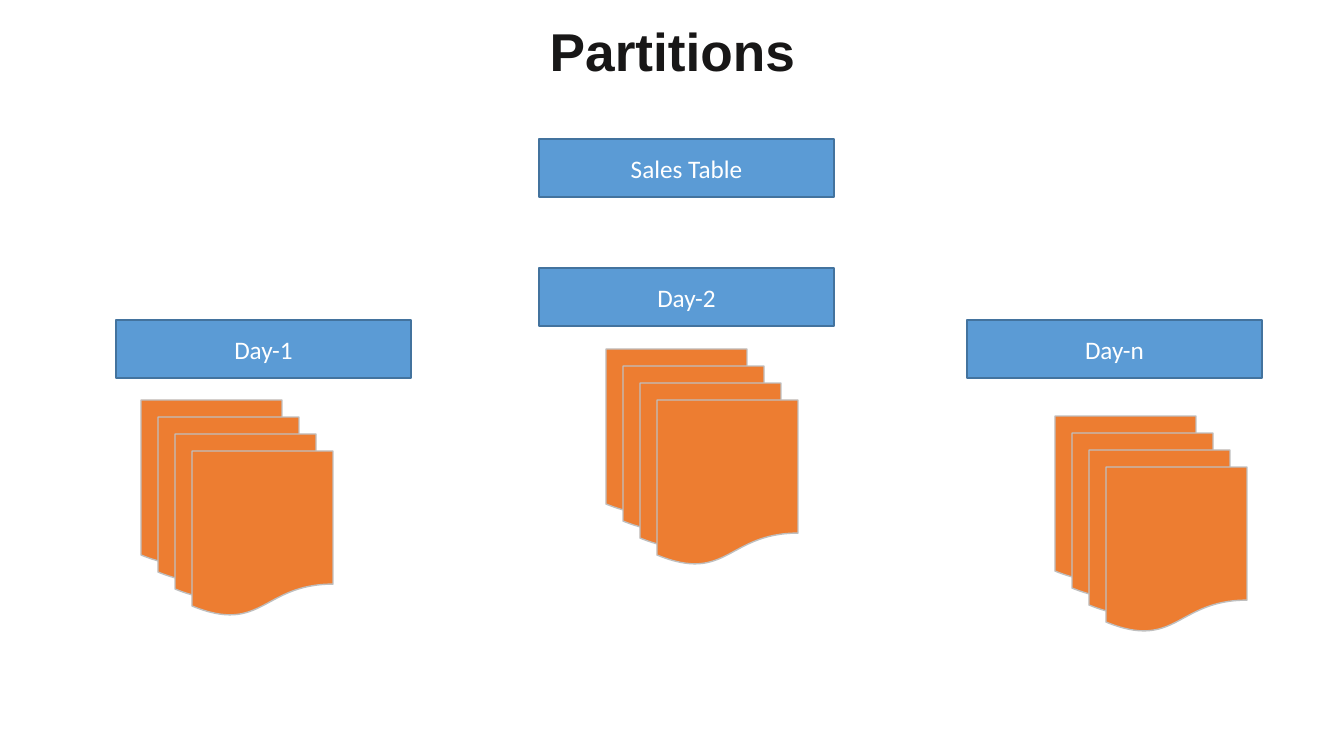
import pptx
import pptx.util
from dataclasses import dataclass
from pptx.dml.color import RGBColor
from pptx.enum.shapes import MSO_SHAPE
from pptx.enum.text import MSO_ANCHOR, MSO_AUTO_SIZE, PP_ALIGN

EMU_PER_PX = 914400 / 100.8


@dataclass(frozen=True)
class Theme:
    ink: str = "181717"
    box: str = "5B9BD5"
    box_line: str = "43739E"
    box_text: str = "FFFFFF"
    page: str = "ED7D31"
    page_line: str = "BFBFBF"
    title_font: str = "Arial"
    body_font: str = "Calibri"
    title_size: int = 38
    body_size: int = 18
    line_width: int = 1


def px(n):
    return pptx.util.Emu(round(n * EMU_PER_PX))


def write(tf, text, *, font, size, color, bold=False, anchor=MSO_ANCHOR.MIDDLE, spacing=None):
    """Fill a text frame with one centred, formatted paragraph."""
    tf.word_wrap = True
    tf.auto_size = MSO_AUTO_SIZE.NONE
    tf.vertical_anchor = anchor
    p = tf.paragraphs[0]
    p.alignment = PP_ALIGN.CENTER
    p.line_spacing = spacing
    r = p.add_run()
    r.text = text
    r.font.name = font
    r.font.size = pptx.util.Pt(size)
    r.font.bold = bold
    r.font.color.rgb = RGBColor.from_string(color)


class Canvas:
    def __init__(self, slide, theme):
        self.slide = slide
        self.theme = theme

    def title(self, text, x, y, w, h):
        t = self.theme
        sp = self.slide.shapes.title
        sp.left, sp.top, sp.width, sp.height = px(x), px(y), px(w), px(h)
        write(sp.text_frame, text, font=t.title_font, size=t.title_size, color=t.ink,
              bold=True, anchor=MSO_ANCHOR.BOTTOM, spacing=0.9)

    def shape(self, kind, x, y, w, h, fill, line):
        sp = self.slide.shapes.add_shape(kind, px(x), px(y), px(w), px(h))
        sp.shadow.inherit = False
        sp.fill.solid()
        sp.fill.fore_color.rgb = RGBColor.from_string(fill)
        sp.line.color.rgb = RGBColor.from_string(line)
        sp.line.width = pptx.util.Pt(self.theme.line_width)
        return sp

    def box(self, text, x, y, w=295, h=58):
        t = self.theme
        sp = self.shape(MSO_SHAPE.RECTANGLE, x, y, w, h, t.box, t.box_line)
        write(sp.text_frame, text, font=t.body_font, size=t.body_size, color=t.box_text)

    def page_stack(self, x, y, count=4, step=17):
        """Draw overlapping pages, each one step further right and down."""
        t = self.theme
        for i in range(count):
            self.shape(MSO_SHAPE.FLOWCHART_DOCUMENT, x + i * step, y + i * step, 141, 166,
                       t.page, t.page_line)


def main():
    prs = pptx.Presentation()
    prs.slide_width, prs.slide_height = px(1344), px(756)
    title_only = prs.slide_layouts[5]
    c = Canvas(prs.slides.add_slide(title_only), Theme())

    c.title("Partitions", 358, 30, 629, 58)
    c.box("Sales Table", 539, 139)
    partitions = [
        ("Day-1", (116, 320), (141, 400)),
        ("Day-2", (539, 268), (606, 349)),
        ("Day-n", (967, 320), (1055, 416)),
    ]
    for day, box_at, stack_at in partitions:
        c.box(day, *box_at)
        c.page_stack(*stack_at)

    prs.save("out.pptx")


if __name__ == "__main__":
    main()
